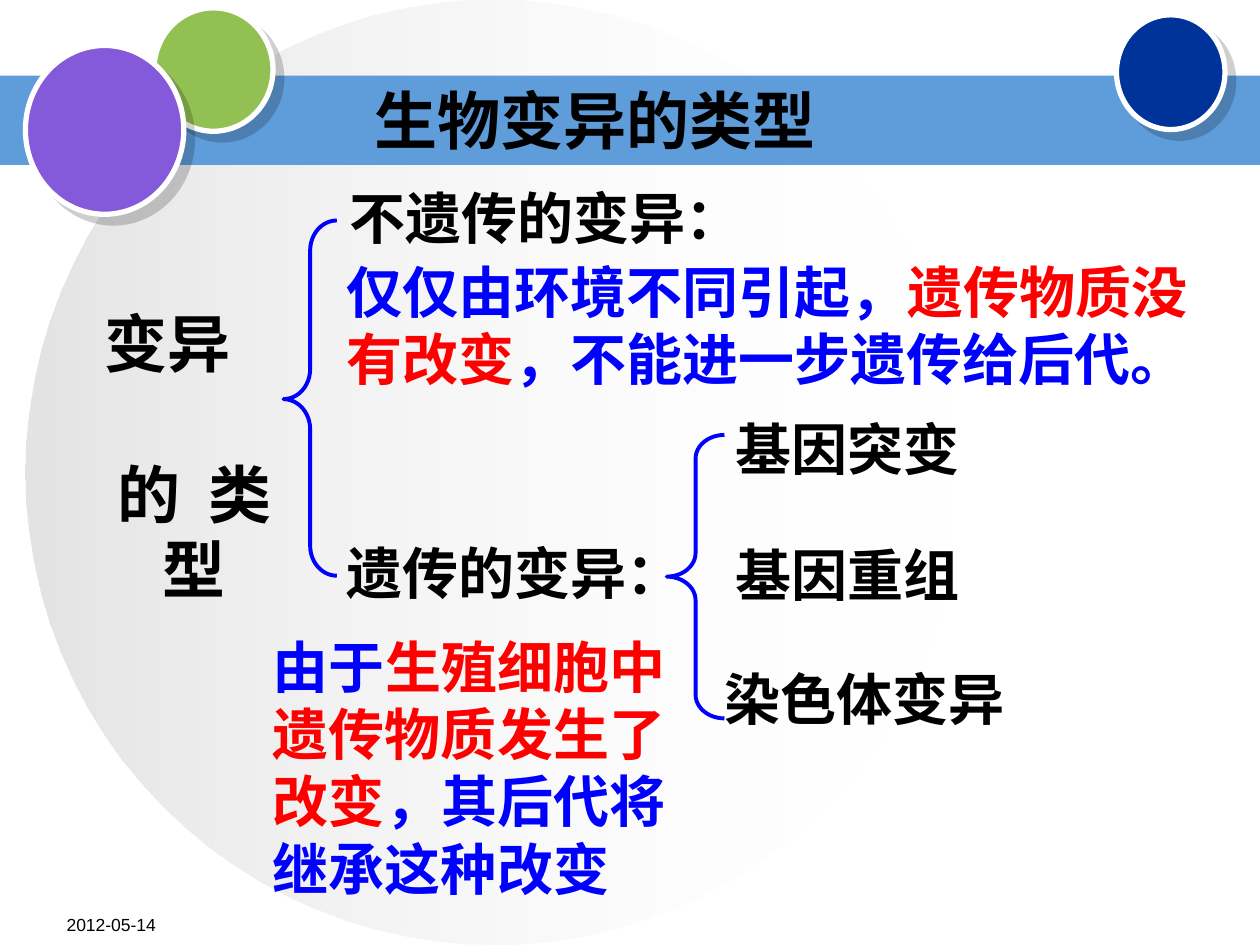
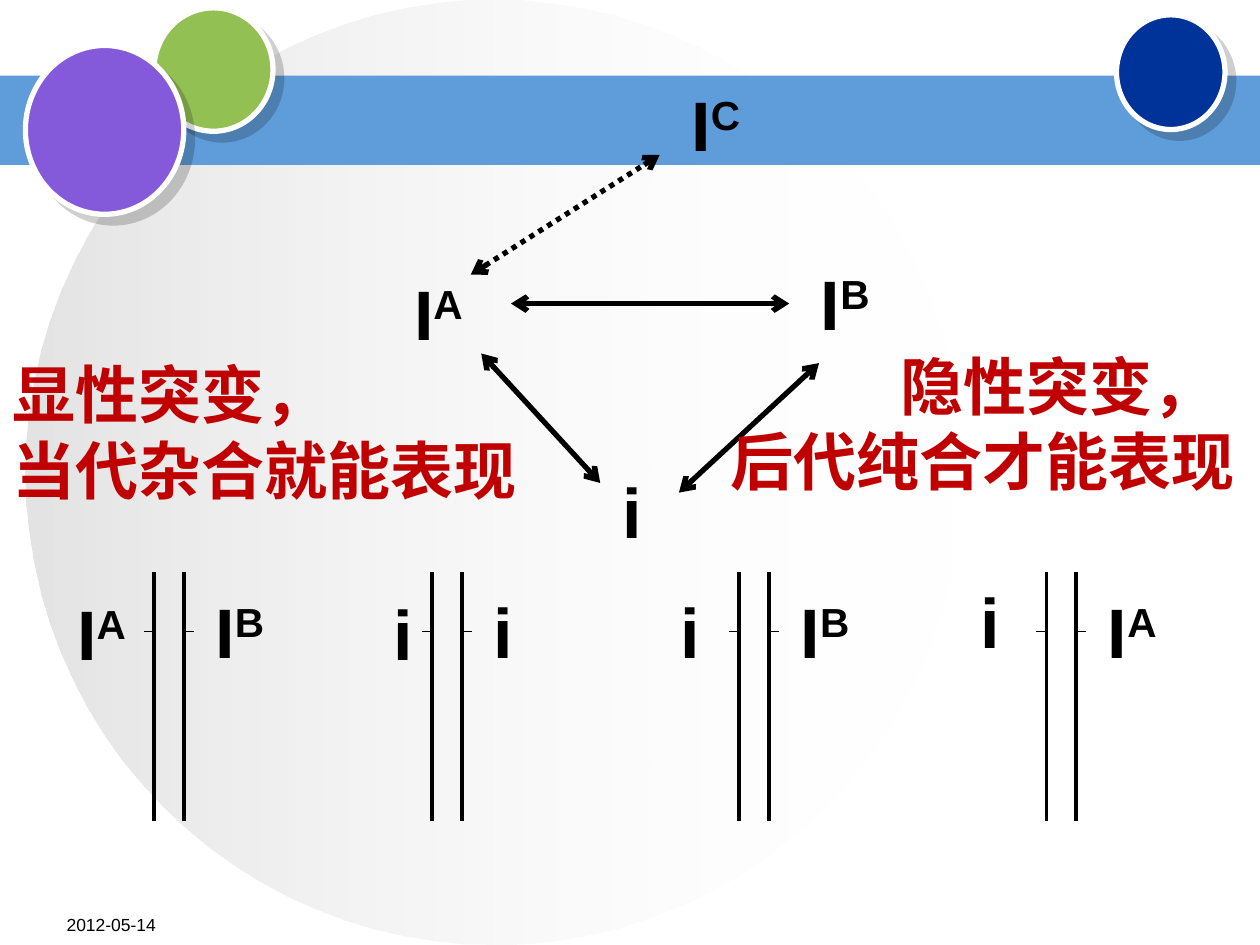
from dataclasses import dataclass

from lxml.etree import SubElement
from pptx import Presentation
from pptx.dml.color import RGBColor
from pptx.enum.dml import MSO_LINE
from pptx.enum.shapes import MSO_CONNECTOR, MSO_SHAPE
from pptx.enum.text import MSO_ANCHOR, PP_ALIGN
from pptx.oxml.ns import qn
from pptx.util import Pt

BLACK, WHITE, BLUE, RED, DARK_RED = "000000", "FFFFFF", "0000FF", "FF0000", "C00000"
BAND_BLUE, GREEN, NAVY, PURPLE, SILVER = "5E9CDA", "93C052", "003399", "855ADA", "C0C0C0"
LATIN_FONT, CHINESE_FONT = "Arial", "Noto Sans CJK SC"
LINE_HEIGHT = 1.2  # line pitch as a multiple of the text size
CHINESE_DROP = 0.09  # extra top inset for Chinese text, in text sizes
NO_INSET, BOX_INSET = (0, 0), (7.2, 3.6)


@dataclass
class Box:
    left: float
    top: float
    width: float
    height: float

    def lengths(self) -> tuple:
        return Pt(self.left), Pt(self.top), Pt(self.width), Pt(self.height)


@dataclass
class Run:
    text: str
    color: str = BLACK
    superscript: bool = False
    spacing: float = 0


@dataclass
class Line:
    runs: list
    align: PP_ALIGN = PP_ALIGN.LEFT
    space_before: float = 0
    indent: float = 0


@dataclass
class Disc:
    box: Box
    color: str


@dataclass
class GenePair:
    left_line: float
    left_gene: str
    right_gene: str
    label_gap: float
    label_top: float


DISCS = [
    Disc(Box(88, 4.5, 68, 70.5), GREEN),
    Disc(Box(638, 8.5, 62, 65.5), NAVY),
    Disc(Box(14.5, 26, 90.5, 96.5), PURPLE),
]
GENE_PAIRS = [
    GenePair(88, "IA", "IB", 51, 334),
    GenePair(247, "i", "i", 29, 334),
    GenePair(422.5, "i", "IB", 40.5, 332.5),
    GenePair(598, "i", "IA", 45, 327),
]


def rgb(color: str) -> RGBColor:
    return RGBColor.from_string(color)


# Shapes and lines
def add_shape(slide, kind, box: Box, fill: str = "", line: str = "", width: float = 0):
    shape = slide.shapes.add_shape(kind, *box.lengths())
    shape.shadow.inherit = False
    if fill:
        shape.fill.solid()
        shape.fill.fore_color.rgb = rgb(fill)
    else:
        shape.fill.background()
    if line:
        shape.line.color.rgb = rgb(line)
        shape.line.width = Pt(width)
    else:
        shape.line.fill.background()
    return shape


def set_alpha(color_element, percent: int) -> None:
    SubElement(color_element, qn("a:alpha"), val=str(percent * 1000))


def add_disc(slide, disc: Disc):
    shape = add_shape(slide, MSO_SHAPE.OVAL, disc.box, disc.color, WHITE, 3)
    effects = shape._element.spPr.find(qn("a:effectLst"))
    shadow = SubElement(effects, qn("a:outerShdw"), dist=str(Pt(7.1)),
                        dir=str(45 * 60000), algn="ctr", rotWithShape="0")
    set_alpha(SubElement(shadow, qn("a:srgbClr"), val=BLACK), 19)
    return shape


def add_brace(slide, box: Box, curl: float, point: float) -> None:
    brace = add_shape(slide, MSO_SHAPE.LEFT_BRACE, box, "", BLUE, 2.25)
    brace.adjustments[0] = curl
    brace.adjustments[1] = point


def add_line(slide, start: tuple, end: tuple, width: float):
    points = [Pt(value) for value in (*start, *end)]
    connector = slide.shapes.add_connector(MSO_CONNECTOR.STRAIGHT, *points)
    connector.line.color.rgb = rgb(BLACK)
    connector.line.width = Pt(width)
    SubElement(connector._element.spPr, qn("a:effectLst"))
    return connector


def add_double_arrow(slide, start: tuple, end: tuple, dotted: bool = False) -> None:
    connector = add_line(slide, start, end, 3)
    if dotted:
        connector.line.dash_style = MSO_LINE.ROUND_DOT
    outline = connector._element.spPr.find(qn("a:ln"))
    for tip in ("a:headEnd", "a:tailEnd"):
        SubElement(outline, qn(tip), type="arrow")


# Text
def write(shape, lines: list, size: float, latin: str = CHINESE_FONT, inset: tuple = NO_INSET,
          bold: bool = True, chinese: bool = True) -> None:
    frame = shape.text_frame
    frame.word_wrap = True
    frame.vertical_anchor = MSO_ANCHOR.TOP
    frame.margin_left = frame.margin_right = Pt(inset[0])
    frame.margin_top = Pt(inset[1] + (CHINESE_DROP * size if chinese else 0))
    frame.margin_bottom = Pt(inset[1])
    for index, line in enumerate(lines):
        paragraph = frame.add_paragraph() if index else frame.paragraphs[0]
        paragraph.alignment = line.align
        paragraph.line_spacing = Pt(LINE_HEIGHT * size)
        paragraph.space_before = Pt(line.space_before)
        if line.indent:
            paragraph._p.get_or_add_pPr().set("marL", str(Pt(line.indent)))
        for part in line.runs:
            run = paragraph.add_run()
            run.text = part.text
            run.font.size = Pt(size)
            run.font.bold = bold
            run.font.name = latin
            run.font.color.rgb = rgb(part.color)
            properties = run._r.get_or_add_rPr()
            SubElement(properties, qn("a:ea"), typeface=CHINESE_FONT)
            if part.superscript:
                properties.set("baseline", "30000")
            if part.spacing:
                properties.set("spc", str(int(part.spacing * 100)))


def add_text(slide, box: Box, lines: list, size: float, **options) -> None:
    write(slide.shapes.add_textbox(*box.lengths()), lines, size, **options)


def add_gene(slide, left: float, top: float, gene: str, width: float = 79) -> None:
    runs = [Run(gene[0])]
    if gene[1:]:
        runs.append(Run(gene[1:], superscript=True))
    add_text(slide, Box(left, top, width, 55.5), [Line(runs)], 40,
             latin=LATIN_FONT, inset=BOX_INSET, chinese=False)


# Shared look
def decorate_master(presentation, slide) -> None:
    """Draw the backdrop on a slide, then move it to the slide master."""
    circle = add_shape(slide, MSO_SHAPE.OVAL, Box(14.5, 0, 535.5, 540), WHITE)
    circle.fill.gradient()
    circle.fill.gradient_angle = 0
    for stop, color in zip(circle.fill.gradient_stops, (SILVER, WHITE)):
        stop.color.rgb = rgb(color)
    for color_element, alpha in zip(list(circle._element.spPr.iter(qn("a:srgbClr"))), (44, 0)):
        set_alpha(color_element, alpha)
    band = add_shape(slide, MSO_SHAPE.RECTANGLE, Box(0, 43.2, 720, 51), BAND_BLUE)
    discs = [add_disc(slide, disc) for disc in DISCS]
    tree = presentation.slide_master.shapes.element
    for position, shape in enumerate([circle, band, *discs], start=2):
        tree.insert(position, shape._element)


def add_date(slide) -> None:
    add_text(slide, Box(31, 519, 150, 21), [Line([Run("2012-05-14")])], 10,
             latin=LATIN_FONT, inset=BOX_INSET, bold=False, chinese=False)


# Slides
def build_variation_types(slide) -> None:
    add_date(slide)
    title = slide.shapes.title
    title.left, title.top, title.width, title.height = Box(144.5, 43.2, 391, 43.2).lengths()
    write(title, [Line([Run("生物变异的类型")], PP_ALIGN.CENTER)], 36)

    # Root of the tree
    root_runs = [Run("的"), Run(" ", spacing=8), Run("类")]
    add_text(slide, Box(60, 170.5, 102, 173), [
        Line([Run("变异")]),
        Line(root_runs, PP_ALIGN.CENTER, space_before=43.2),
        Line([Run("型")], PP_ALIGN.CENTER),
    ], 36)

    # Braces and branches
    add_brace(slide, Box(162, 126, 30.5, 203), 0.563, 0.503)
    add_brace(slide, Box(381, 248.5, 33, 162), 0.41, 0.5)
    branches = [
        (Box(198, 305, 200, 38.5), [Run("遗传的变异：")]),
        (Box(199.5, 102, 238, 38.5), [Run("不遗传的变异：")]),
        (Box(420, 234, 154, 38.5), [Run("基因突变")]),
        (Box(420, 306, 204, 38.5), [Run("基因重组")]),
        (Box(414, 377, 222, 38.5), [Run("染色体变异")]),
        (Box(198, 144, 498, 77), [Run("仅仅由环境不同引起，", BLUE), Run("遗传物质没有改变", RED),
                                  Run("，不能进一步遗传给后代。", BLUE)]),
        (Box(156, 358.5, 252, 153.5), [Run("由于", BLUE), Run("生殖细胞中遗传物质发生了改变", RED),
                                       Run("，其后代将继承这种改变", BLUE)]),
    ]
    for box, runs in branches:
        add_text(slide, box, [Line(runs)], 32)
    add_shape(slide, MSO_SHAPE.RECTANGLE, Box(606, 511, 90, 29), WHITE)


def add_gene_pair(slide, pair: GenePair) -> None:
    right_line = pair.left_line + 17
    for x, tick in ((pair.left_line, -5.75), (right_line, 5.75)):
        add_line(slide, (x, 327), (x, 469), 2.25)
        add_line(slide, (x, 360.75), (x + tick, 360.75), 0.75)
    add_gene(slide, pair.left_line - pair.label_gap, pair.label_top, pair.left_gene, 51)
    add_gene(slide, right_line + 11, 332.5, pair.right_gene)


def build_gene_mutations(slide) -> None:
    add_date(slide)

    # Alleles and the mutations between them
    for left, top, gene in ((348.5, 264, "i"), (462, 145.5, "IB"),
                            (388, 43.2, "IC"), (229.5, 151, "IA")):
        add_gene(slide, left, top, gene)
    add_double_arrow(slide, (292, 173.5), (451, 173.5))
    add_double_arrow(slide, (275, 202), (343, 276))
    add_double_arrow(slide, (468, 207.5), (388, 281.5))
    add_double_arrow(slide, (269, 157), (377, 88.5), dotted=True)

    # Genotypes
    for pair in GENE_PAIRS:
        add_gene_pair(slide, pair)

    # Dominant and recessive mutation
    for left, top, first, second, indent in (
            (0, 196.5, "显性突变，", "当代杂合就能表现", 0),
            (410.5, 191.5, "隐性突变，", "后代纯合才能表现", 97)):
        lines = [Line([Run(first, DARK_RED)], indent=indent), Line([Run(second, DARK_RED)])]
        add_text(slide, Box(left, top, 309.5, 94.5), lines, 36, latin=LATIN_FONT, inset=BOX_INSET)


def main() -> None:
    presentation = Presentation()
    presentation.slide_width, presentation.slide_height = Pt(720), Pt(540)
    title_only, blank = presentation.slide_layouts[5], presentation.slide_layouts[6]
    types_slide = presentation.slides.add_slide(title_only)
    decorate_master(presentation, types_slide)
    build_variation_types(types_slide)
    build_gene_mutations(presentation.slides.add_slide(blank))
    presentation.save("out.pptx")


if __name__ == "__main__":
    main()
